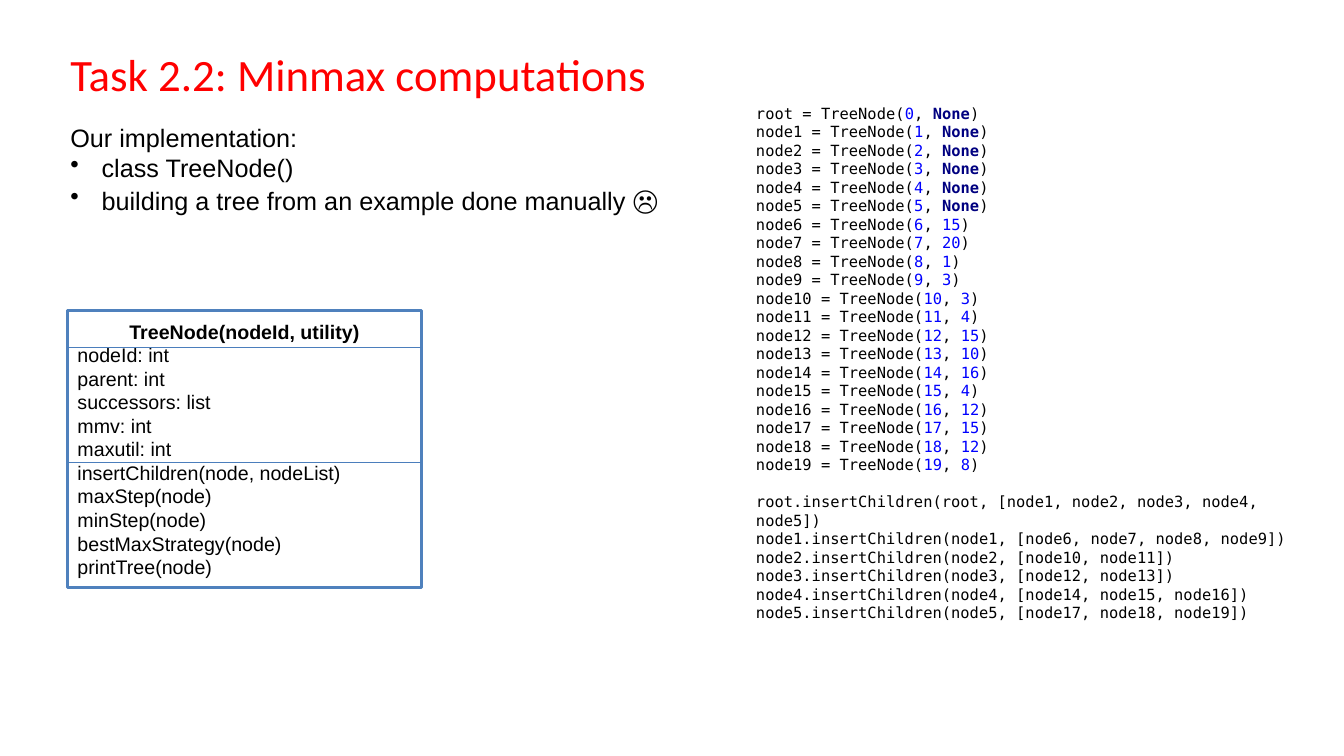
from pptx import Presentation
from pptx.dml.color import RGBColor
from pptx.enum import shapes, text
from pptx.oxml import xmlchemy
from pptx.util import Inches, Pt

BLACK = RGBColor(0x00, 0x00, 0x00)
WHITE = RGBColor(0xFF, 0xFF, 0xFF)
RED = RGBColor(0xFF, 0x00, 0x00)
NUMBER_BLUE = RGBColor(0x00, 0x00, 0xFF)
KEYWORD_NAVY = RGBColor(0x00, 0x00, 0x80)
BORDER_BLUE = RGBColor(0x4F, 0x81, 0xBD)
DIVIDER_BLUE = RGBColor(0x4B, 0x7E, 0xBC)

FIELDS = ["nodeId: int", "parent: int", "successors: list", "mmv: int", "maxutil: int"]
METHODS = ["insertChildren(node, nodeList)", "maxStep(node)", "minStep(node)",
           "bestMaxStrategy(node)", "printTree(node)"]
UTILITIES = [None] * 6 + [15, 20, 1, 3, 3, 4, 15, 10, 16, 4, 12, 15, 12, 8]
CHILDREN = [range(1, 6), range(6, 10), range(10, 12), range(12, 14),
            range(14, 17), range(17, 20)]


def add_span(para, wording, size, font="Arial", color=BLACK, bold=False):
    span = para.add_run()
    span.text = wording
    span.font.size = Pt(size)
    span.font.name = font
    span.font.color.rgb = color
    span.font.bold = bold


def next_para(frame):
    first = frame.paragraphs[0]
    para = frame.add_paragraph() if first.runs else first
    para.alignment = text.PP_ALIGN.LEFT
    return para


def add_bullet(para, indent):
    properties = para._p.get_or_add_pPr()
    properties.set("marL", str(indent))
    properties.set("indent", str(-indent))
    bullet = xmlchemy.OxmlElement("a:buChar")
    bullet.set("char", "•")
    properties.append(bullet)


def add_panel(parent, kind, box):
    panel = parent.add_shape(kind, *map(Inches, box))
    panel.shadow.inherit = False
    panel.fill.solid()
    panel.fill.fore_color.rgb = WHITE
    panel.text_frame.word_wrap = True
    panel.text_frame.vertical_anchor = text.MSO_ANCHOR.MIDDLE
    return panel


def add_title(page, box):
    frame = page.shapes.add_textbox(*map(Inches, box)).text_frame
    frame.word_wrap = True
    frame.vertical_anchor = text.MSO_ANCHOR.MIDDLE
    frame.margin_bottom = Inches(0.3)
    add_span(next_para(frame), "Task 2.2: Minmax computations", 32, "Calibri", RED)


def add_summary(page, box):
    frame = page.shapes.add_textbox(*map(Inches, box)).text_frame
    frame.word_wrap = False
    frame.auto_size = text.MSO_AUTO_SIZE.SHAPE_TO_FIT_TEXT
    add_span(next_para(frame), "Our implementation:", 18)
    for wording in ("class TreeNode()", "building a tree from an example done manually "):
        para = next_para(frame)
        add_bullet(para, Inches(0.31))
        add_span(para, wording, 18)
    add_span(para, "☹", 20)


def add_class_diagram(page, box):
    left, top, width, height = box
    group = page.shapes.add_group_shape().shapes
    panel = add_panel(group, shapes.MSO_SHAPE.FLOWCHART_PROCESS, box)
    panel.line.color.rgb = BORDER_BLUE
    panel.line.width = Pt(2)
    heading = next_para(panel.text_frame)
    heading.alignment = text.PP_ALIGN.CENTER
    add_span(heading, "TreeNode(nodeId, utility)", 14, bold=True)
    for member in FIELDS + METHODS:
        add_span(next_para(panel.text_frame), member, 14)
    for offset in (1.51, 0.37):
        y = Inches(top + offset)
        divider = group.add_connector(shapes.MSO_CONNECTOR.STRAIGHT,
                                      Inches(left), y, Inches(left + width), y)
        divider.line.color.rgb = DIVIDER_BLUE
        divider.line.width = Pt(0.75)
        divider._element.spPr.append(xmlchemy.OxmlElement("a:effectLst"))


def node_name(number):
    return f"node{number}" if number else "root"


def add_code(page, box):
    panel = add_panel(page.shapes, shapes.MSO_SHAPE.RECTANGLE, box)
    panel.line.fill.background()
    frame = panel.text_frame
    frame.auto_size = text.MSO_AUTO_SIZE.SHAPE_TO_FIT_TEXT

    def add_line(*spans):
        para = next_para(frame)
        for wording, color in spans:
            add_span(para, wording, 11, "DejaVu Sans Mono", color, color == KEYWORD_NAVY)
        return para

    for number, utility in enumerate(UTILITIES):
        value_color = KEYWORD_NAVY if utility is None else NUMBER_BLUE
        add_line((f"{node_name(number)} = TreeNode(", BLACK), (str(number), NUMBER_BLUE),
                 (", ", BLACK), (str(utility), value_color), (")", BLACK))
    for number, children in enumerate(CHILDREN):
        name = node_name(number)
        listing = ", ".join(map(node_name, children))
        para = add_line((f"{name}.insertChildren({name}, [{listing}])", BLACK))
        if number == 0:
            para.space_before = Pt(13)


def build_task_slide(deck):
    page = deck.slides.add_slide(deck.slide_layouts[6])
    add_title(page, (0.6, 0.33, 12.37, 1.06))
    add_class_diagram(page, (0.67, 3.08, 3.51, 2.75))
    add_summary(page, (0.6, 1.16, 6.07, 1.04))
    add_code(page, (7.4, 1.05, 5.47, 5.1))


deck = Presentation()
deck.slide_width = Inches(13.33)
deck.slide_height = Inches(7.5)
build_task_slide(deck)
deck.save("out.pptx")
